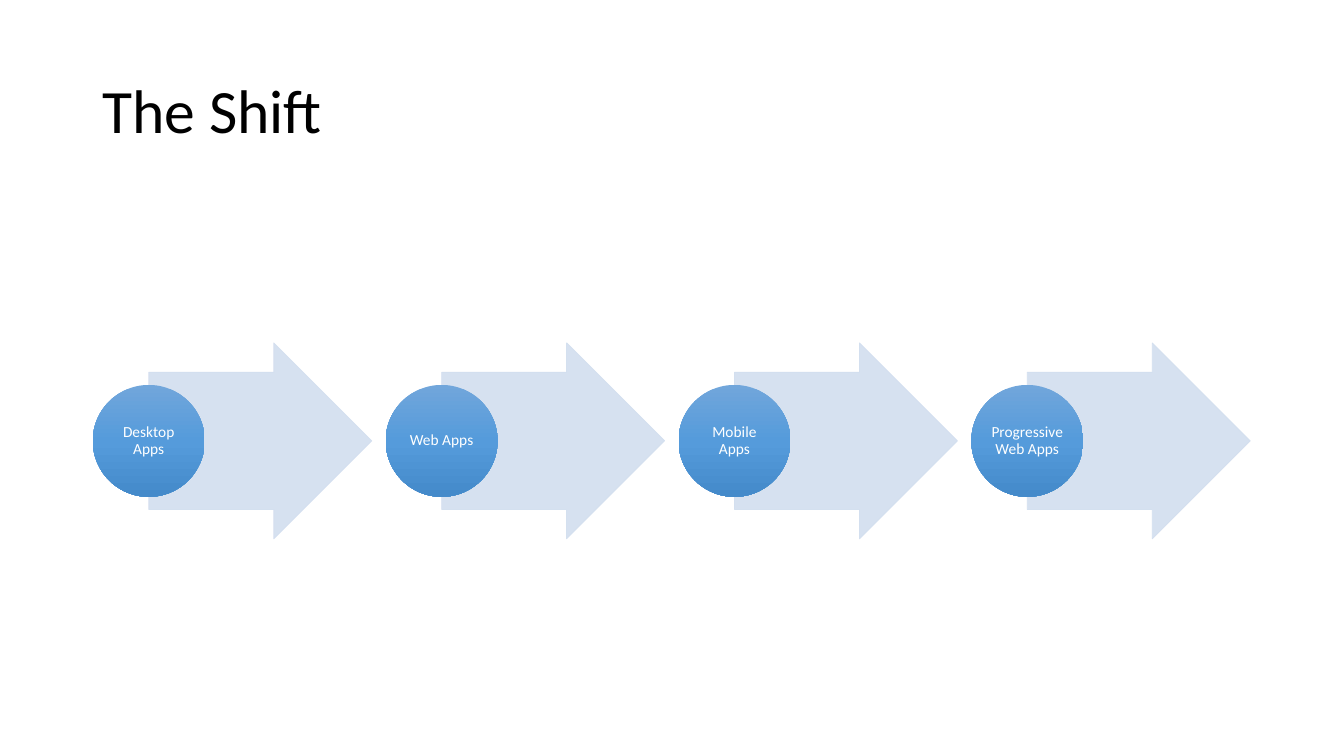
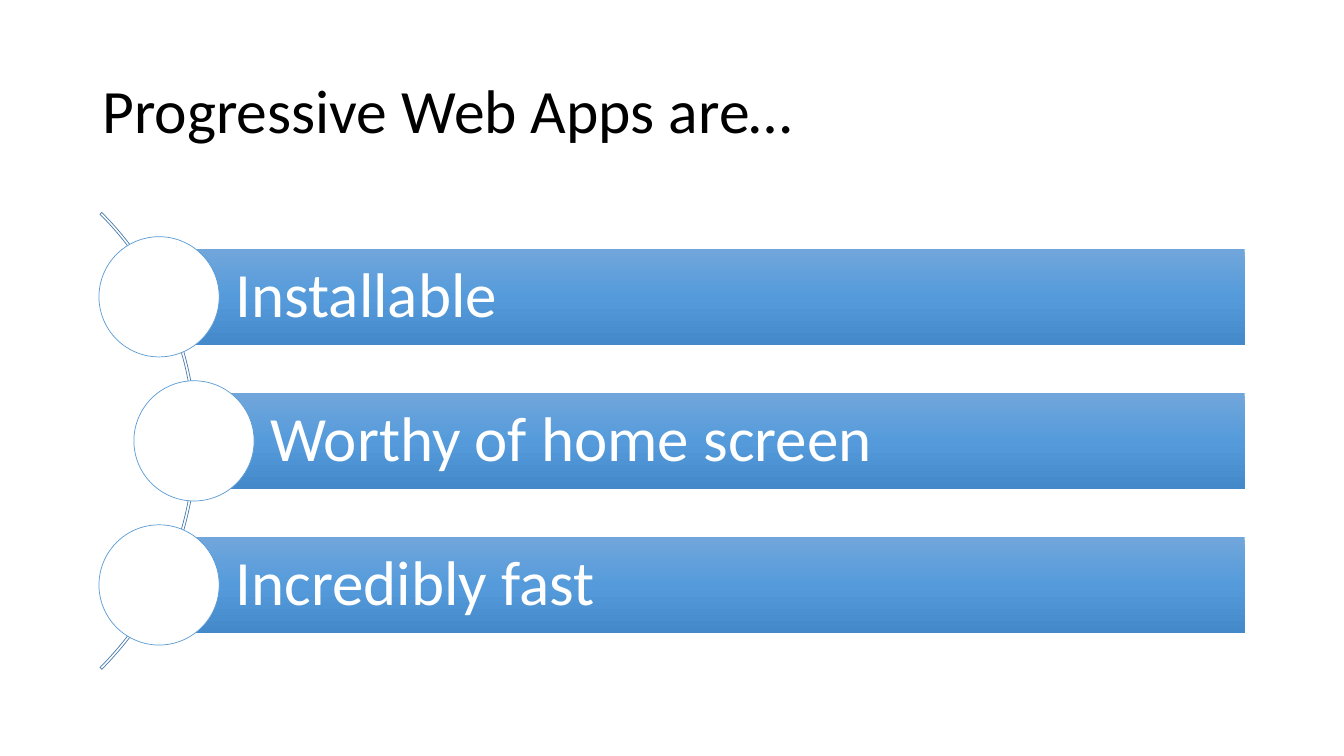
import copy
import dataclasses

import lxml.etree
import pptx
import pptx.dml.color
import pptx.enum.shapes
import pptx.enum.text
import pptx.oxml.ns
import pptx.util

Cm = pptx.util.Cm
Pt = pptx.util.Pt
RGB = pptx.dml.color.RGBColor.from_string
Kind = pptx.enum.shapes.MSO_SHAPE
Align = pptx.enum.text.PP_ALIGN
qn = pptx.oxml.ns.qn


@dataclasses.dataclass(frozen=True)
class Theme:
    font: str = "Calibri"
    black: str = "000000"
    white: str = "FFFFFF"
    arrow: str = "D2DEEF"
    ring: str = "5B9BD5"
    arc: str = "497CAB"
    blues: tuple = ("71A6DB", "559BDB", "448ACA")
    title: int = 44
    label: int = 11
    bar: int = 45
    line: float = 0.5


theme = Theme()


def write(shape, text, size, color, align, pads):
    frame = shape.text_frame
    frame.word_wrap = True
    frame.vertical_anchor = pptx.enum.text.MSO_ANCHOR.MIDDLE
    frame.margin_left, frame.margin_top, frame.margin_right, frame.margin_bottom = map(Cm, pads)
    frame.text = text
    para = frame.paragraphs[0]
    para.alignment = align
    para.line_spacing = 0.9
    font = para.runs[0].font
    font.name = theme.font
    font.size = Pt(size)
    font.color.rgb = RGB(color)


def draw(slide, kind, box, fill=None, line=None):
    shape = slide.shapes.add_shape(kind, *map(Cm, box))
    shape.shadow.inherit = False
    if fill is None:
        shape.fill.background()
    elif isinstance(fill, tuple):
        shape.fill.gradient()
        shape.fill.gradient_angle = 270
        stops = shape._element.spPr.find(".//" + qn("a:gsLst"))
        stops.insert(1, copy.deepcopy(stops[0]))
        for index, (stop, color) in enumerate(zip(shape.fill.gradient_stops, fill)):
            stop.position = index / 2
            stop.color.rgb = RGB(color)
    else:
        shape.fill.solid()
        shape.fill.fore_color.rgb = RGB(fill)
    if line is None:
        shape.line.fill.background()
    else:
        shape.line.color.rgb = RGB(line)
        shape.line.width = Pt(theme.line)
    return shape


deck = pptx.Presentation()
deck.slide_width = Cm(33.87)
deck.slide_height = Cm(19.05)

slides = []
for title in ("The Shift", "Progressive Web Apps are…"):
    slide = deck.slides.add_slide(deck.slide_layouts[6])
    box = slide.shapes.add_textbox(Cm(2.33), Cm(1.02), Cm(29.21), Cm(3.68))
    write(box, title, theme.title, theme.black, Align.LEFT, (0.25, 0.13, 0.25, 0.13))
    slides.append(slide)
shift, traits = slides

middle = 11.11

left, pitch = 2.34, 7.38
disc = 2.82
wide, high = 5.62, 4.94
for index, name in enumerate(("Desktop Apps", "Web Apps", "Mobile Apps", "Progressive Web Apps")):
    x = left + index * pitch
    arrow = draw(shift, Kind.RIGHT_ARROW, (x + disc / 2, middle - high / 2, wide, high),
                 theme.arrow, theme.arrow)
    arrow.adjustments[0] = 0.7
    arrow.adjustments[1] = 0.5
    for color in arrow._element.spPr.iter(qn("a:srgbClr")):
        lxml.etree.SubElement(color, qn("a:alpha")).set("val", "90000")
    circle = draw(shift, Kind.OVAL, (x, middle - disc / 2, disc, disc), theme.blues)
    write(circle, name, theme.label, theme.white, Align.CENTER, (0.03,) * 4)

size = 16.28
arc = draw(traits, Kind.BLOCK_ARC, (-11.33, middle - size / 2, size, size), line=theme.arc)
for index, value in enumerate((189, 27, 0.004)):
    arc.adjustments[index] = value

right, step = 31.37, 3.63
thick, ring = 2.42, 3.03
rows = (("Installable", 4.01), ("Worthy of home screen", 4.89), ("Incredibly fast", 4.01))
for index, (text, x) in enumerate(rows):
    y = middle + (index - 1) * step
    bar = draw(traits, Kind.RECTANGLE, (x, y - thick / 2, right - x, thick), theme.blues)
    write(bar, text, theme.bar, theme.white, Align.LEFT, (1.93, 0.3, 0.3, 0.3))
    draw(traits, Kind.OVAL, (x - ring / 2, y - ring / 2, ring, ring), theme.white, theme.ring)

deck.save("out.pptx")
